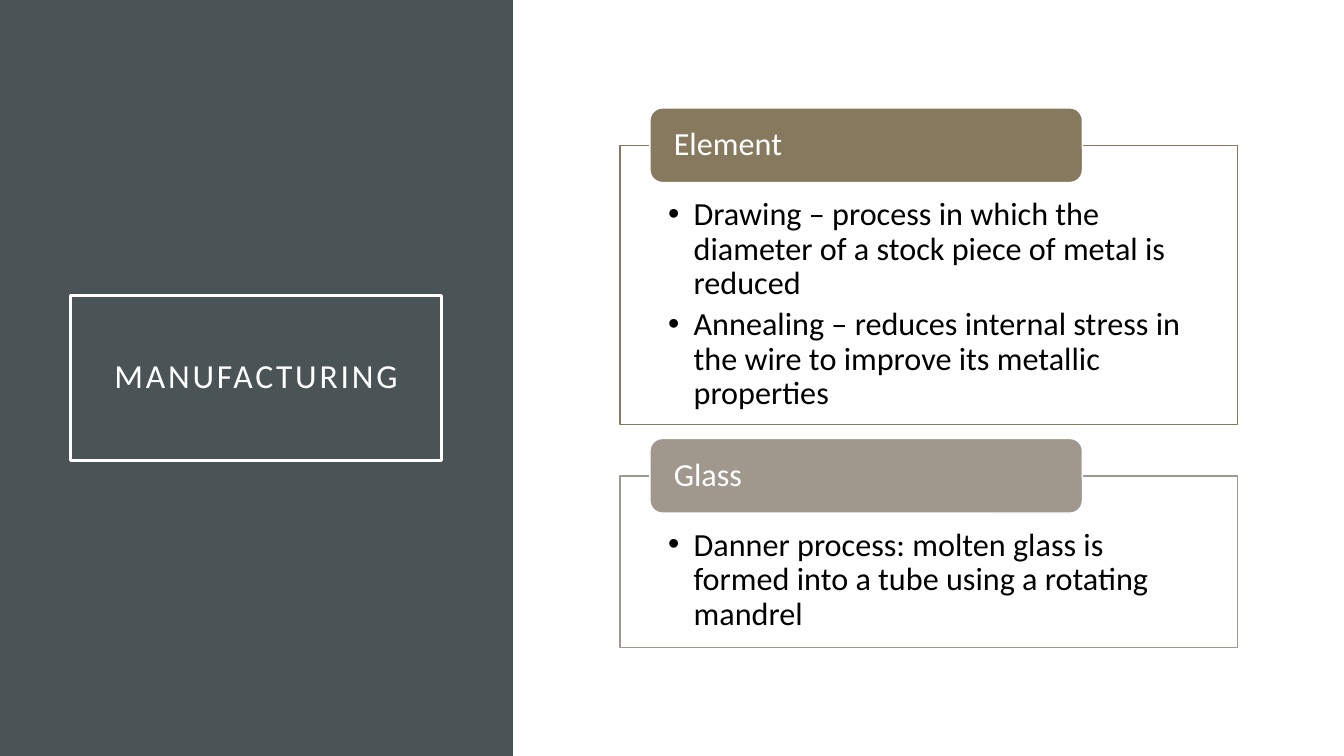
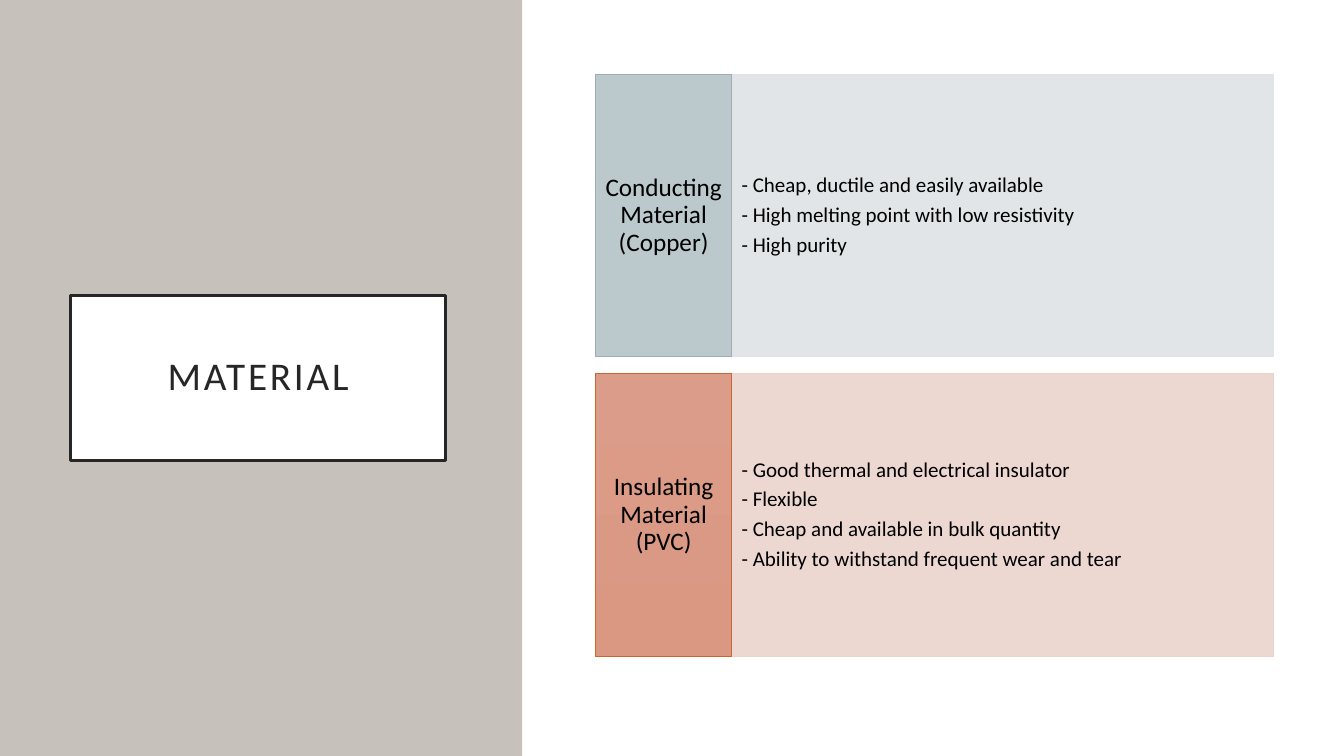
from lxml.etree import SubElement
from pptx import Presentation
from pptx.dml.color import RGBColor
from pptx.enum.shapes import MSO_SHAPE as Shape
from pptx.enum.text import MSO_ANCHOR as Anchor, MSO_AUTO_SIZE as AutoSize, PP_ALIGN as Align
from pptx.oxml.ns import qn
from pptx.util import Cm, Pt

FONT = "Calibri"
WHITE, BLACK, DARK = "FFFFFF", "000000", "262626"
TWO_CONTENT = 3
SLIDE_WIDTH, SLIDE_HEIGHT = 33.87, 19.05


def color(hex_string):
    return RGBColor.from_string(hex_string)


def apply(target, formats):
    for name, value in formats.items():
        setattr(target, name, value)


class Deck:
    """Holds the shared style and the slide being built."""

    def __init__(self):
        self.presentation = Presentation()
        apply(self.presentation, {"slide_width": Cm(SLIDE_WIDTH), "slide_height": Cm(SLIDE_HEIGHT)})
        self.slide = None

    def new_slide(self, title, size, title_width, panel_width, panel_fill, ink, title_fill=None):
        layout = self.presentation.slide_layouts[TWO_CONTENT]
        self.slide = self.presentation.slides.add_slide(layout)
        # Title in an outlined box
        box = self.slide.shapes.title
        self.place(box, (1.78, 7.44, title_width, 4.17))
        self.paint(box, title_fill, ink, 2.5)
        self.set_text(box, [title], size, ink, (0.51,) * 4, align=Align.CENTER)
        run = box.text_frame.paragraphs[0].runs[0]
        run.font._element.set("spc", "200")
        # Side panel behind the title
        panel = self.box((0, 0, panel_width, SLIDE_HEIGHT), panel_fill)
        box.element.addprevious(panel.element)

    def place(self, shape, area):
        apply(shape, dict(zip(("left", "top", "width", "height"), map(Cm, area))))

    def paint(self, shape, fill=None, line=None, width=1, opacity=100):
        """Fill with one colour, a (top, bottom) gradient or nothing."""
        if fill is None:
            shape.fill.background()
        elif isinstance(fill, tuple):
            shape.fill.gradient()
            shape.fill.gradient_angle = 270
            for stop, shade in zip(shape.fill.gradient_stops, fill):
                stop.color.rgb = color(shade)
        else:
            shape.fill.solid()
            shape.fill.fore_color.rgb = color(fill)
        if line is None:
            shape.line.fill.background()
        else:
            shape.line.color.rgb = color(line)
            shape.line.width = Pt(width)
        if opacity < 100:
            solid = shape.element.spPr.find(qn("a:solidFill"))
            SubElement(solid[0], qn("a:alpha"), val=str(opacity * 1000))

    def box(self, area, fill, line=None, width=1, kind=Shape.RECTANGLE):
        shape = self.slide.shapes.add_shape(kind, *map(Cm, area))
        shape.shadow.inherit = False
        self.paint(shape, fill, line, width)
        return shape

    def set_text(self, shape, lines, size, ink, margins, align=Align.LEFT,
                 anchor=Anchor.MIDDLE, after=0, bullet=False):
        frame = shape.text_frame
        frame.text = "\n".join(lines)
        apply(frame, {"word_wrap": True, "auto_size": AutoSize.NONE, "vertical_anchor": anchor})
        names = ("margin_left", "margin_top", "margin_right", "margin_bottom")
        apply(frame, dict(zip(names, map(Cm, margins))))
        indent = Cm(0.64) if bullet else 0
        for paragraph in frame.paragraphs:
            properties = paragraph._p.get_or_add_pPr()
            properties.set("marL", str(int(indent)))
            properties.set("indent", str(-int(indent)))
            if bullet:
                SubElement(properties, qn("a:buChar"), char="•")
            else:
                SubElement(properties, qn("a:buNone"))
            apply(paragraph, {"alignment": align, "line_spacing": 0.9,
                              "space_before": Pt(0), "space_after": Pt(after)})
            for run in paragraph.runs:
                apply(run.font, {"name": FONT, "size": Pt(size)})
                run.font.color.rgb = color(ink)

    def body(self, index, area, lines, size, margins, fill, line, width, **text_format):
        shape = self.slide.placeholders[index]
        self.place(shape, area)
        self.paint(shape, fill, line, width, opacity=90)
        self.set_text(shape, lines, size, BLACK, margins, **text_format)

    def tabbed_list(self, index, top, height, heading, lines, accent):
        """Framed bullet list with a heading badge centred on its top edge."""
        self.body(index, (15.62, top, 15.57, height), lines, 23, (1.22, 1.32, 1.22, 0.46),
                  WHITE, accent, 1, anchor=Anchor.TOP, after=4, bullet=True)
        badge_height = 1.88
        badge = self.box((16.38, top - badge_height / 2, 10.9, badge_height),
                         accent, WHITE, kind=Shape.ROUNDED_RECTANGLE)
        self.set_text(badge, [heading], 23, WHITE, (0.51, 0, 0.51, 0))

    def labelled_band(self, index, top, label, lines, label_fill, label_line, band_fill):
        """Coloured label with a list in a paler band on its right."""
        left, label_width, height = 15.01, 3.43, 7.11
        self.body(index, (left + label_width, top, 13.65, height), lines, 15,
                  (0.25, 1.8, 0.25, 1.8), band_fill, band_fill, 0.5, after=5)
        shape = self.box((left, top, label_width, height), label_fill, label_line, 0.5)
        self.set_text(shape, [label], 18, BLACK, (0.18, 0.71, 0.18, 0.71),
                      align=Align.CENTER, after=6)


def main():
    deck = Deck()

    # Manufacturing
    deck.new_slide("MANUFACTURING", 24, 9.35, 12.93, "4A5356", WHITE)
    deck.tabbed_list(1, 3.66, 7.04, "Element", [
        "Drawing – process in which the diameter of a stock piece of metal is reduced",
        "Annealing – reduces internal stress in the wire to improve its metallic properties",
    ], "87795D")
    deck.tabbed_list(2, 11.99, 4.32, "Glass", [
        "Danner process: molten glass is formed into a tube using a rotating mandrel",
    ], "A0988C")

    # Material
    deck.new_slide("MATERIAL", 28, 9.45, 13.16, "C6C1BA", DARK, WHITE)
    bands = [
        ("Conducting Material (Copper)", [
            "- Cheap, ductile and easily available",
            "- High melting point with low resistivity",
            "- High purity",
        ], ("BBC8CC", "B8C6CB"), "9BAFB5", "DEE3E5"),
        ("Insulating Material (PVC)", [
            "- Good thermal and electrical insulator",
            "- Flexible",
            "- Cheap and available in bulk quantity",
            "- Ability to withstand frequent wear and tear",
        ], ("DB9C89", "DA9882"), "C96731", "EBD3CD"),
    ]
    for number, band in enumerate(bands):
        deck.labelled_band(number + 1, 1.88 + number * 7.54, *band)

    deck.presentation.save("out.pptx")


if __name__ == "__main__":
    main()
